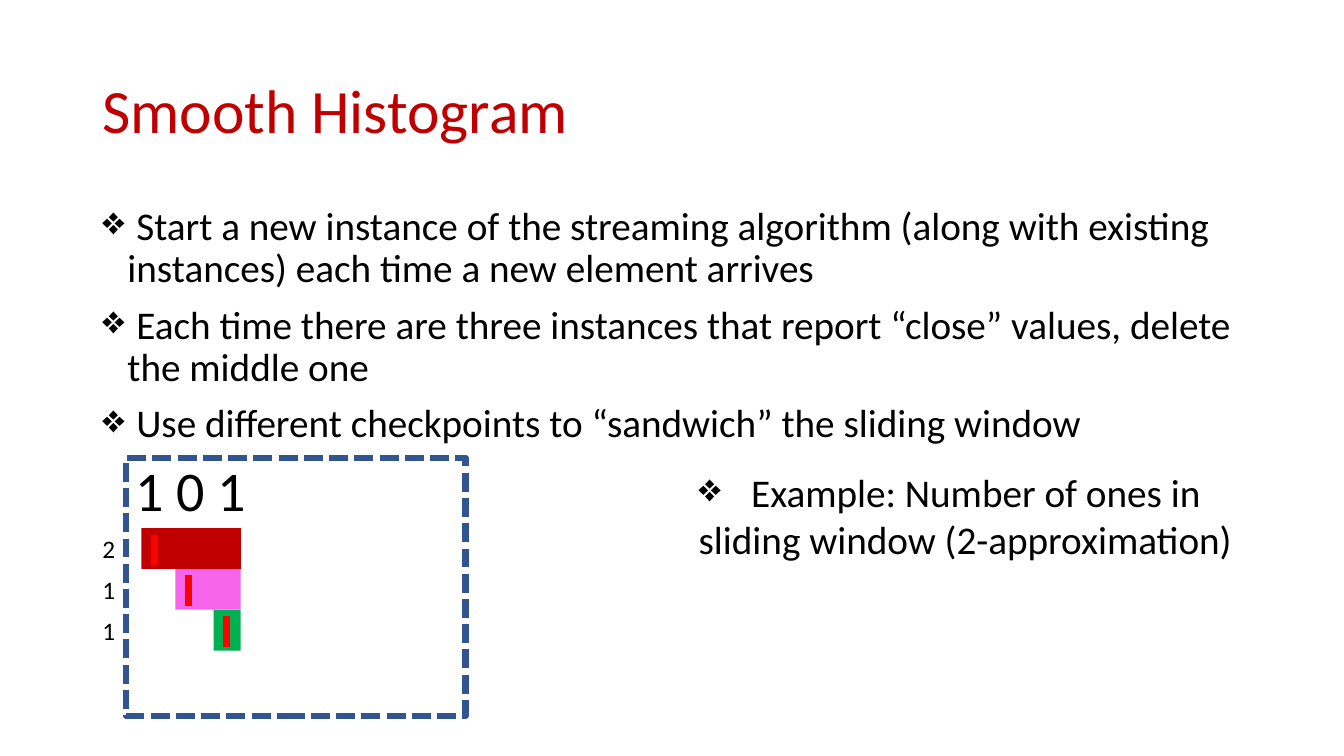
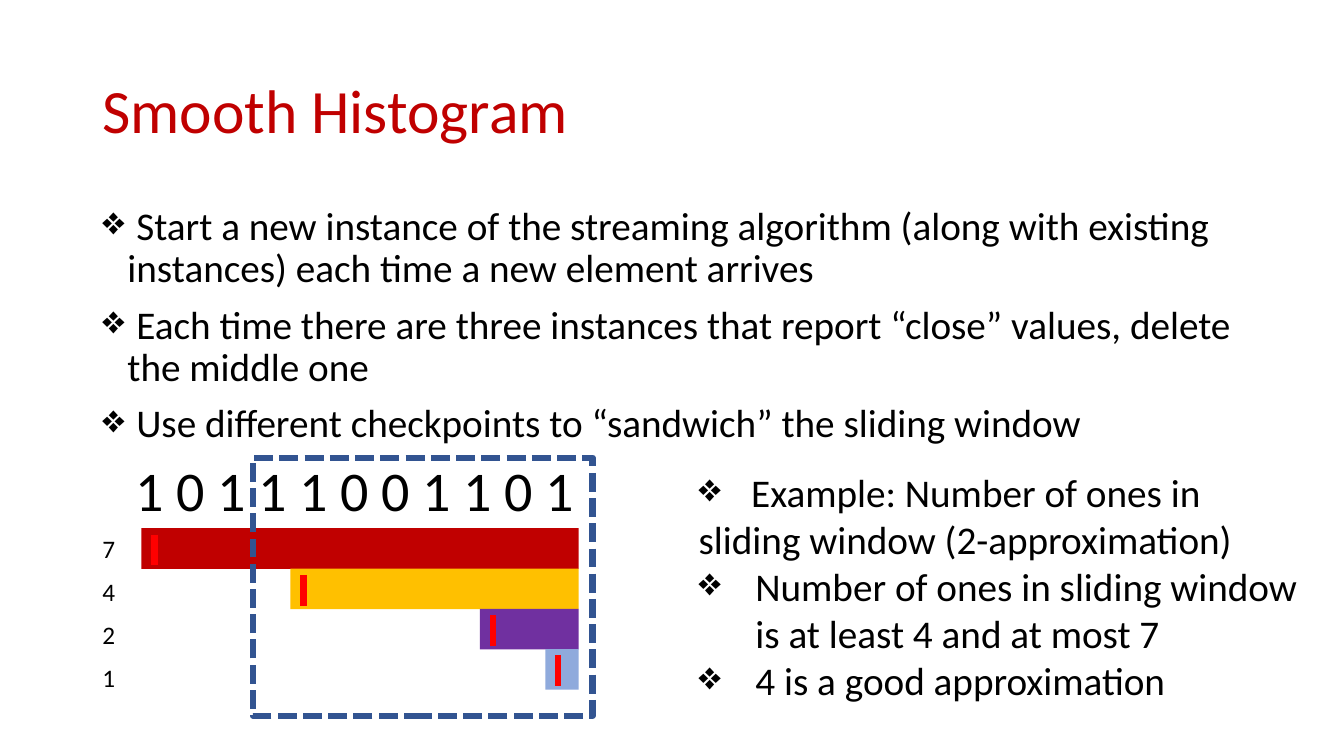
from lxml.etree import SubElement
from pptx import Presentation
from pptx.dml.color import RGBColor
from pptx.enum.dml import MSO_LINE
from pptx.enum.shapes import MSO_CONNECTOR, MSO_SHAPE
from pptx.enum.text import MSO_ANCHOR
from pptx.oxml.ns import qn
from pptx.util import Pt

FONT = "Calibri"
COLORS = {
    "title": "C00000", "text": "000000", "window": "325491", "tick": "FF0000",
    "red": "C00000", "pink": "F664EC", "green": "00B050",
    "amber": "FFC000", "purple": "7030A0", "blue": "8FAADC",
}

TITLE = "Smooth Histogram"
BODY = [
    " Start a new instance of the streaming algorithm (along with existing instances) "
    "each time a new element arrives",
    " Each time there are three instances that report “close” values, delete the middle one",
    " Use different checkpoints to “sandwich” the sliding window",
]
EXAMPLE = "\tExample: Number of ones in sliding window (2-approximation)"

# Each bar is (reported value, left edge, colour); all bars end at "right"
SLIDES = [
    {"stream": "1 0 1", "stream_width": 94.5, "window_left": 90, "right": 172,
     "bar_pitch": 29.2, "label_pitch": 29.2,
     "bars": [("2", 101, "red"), ("1", 125.3, "pink"), ("1", 152.6, "green")],
     "findings": []},
    {"stream": "1 0 1 1 1 0 0 1 1 0 1", "stream_width": 330.5, "window_left": 180.7,
     "right": 413.3, "bar_pitch": 28.8, "label_pitch": 30.7,
     "bars": [("7", 101, "red"), ("4", 207.4, "amber"),
              ("2", 342.7, "purple"), ("1", 389.5, "blue")],
     "findings": ["Number of ones in sliding window is at least 4 and at most 7",
                  "4 is a good approximation"]},
]
BAR_TOP, BAR_HEIGHT = 377.3, 29
TICK_INSET, TICK_MARGIN = 9.3, 4.5


def add_text(s, box, lines, size, color="text", wrap=True):
    sp = s.shapes.add_textbox(*[Pt(v) for v in box])
    tf = sp.text_frame
    tf.word_wrap = wrap
    for i, line in enumerate(lines):
        p = tf.paragraphs[0] if i == 0 else tf.add_paragraph()
        r = p.add_run()
        r.text = line
        r.font.name, r.font.size = FONT, Pt(size)
        r.font.color.rgb = RGBColor.from_string(COLORS[color])
    return tf


def add_bullet(p, hang=0, tab=None):
    pPr = p._p.get_or_add_pPr()
    pPr.set("marL", str(Pt(hang)))
    pPr.set("indent", str(-Pt(hang)))
    SubElement(pPr, qn("a:buChar"), char="❖")
    if tab:
        tabs = SubElement(pPr, qn("a:tabLst"))
        SubElement(tabs, qn("a:tab"), pos=str(Pt(tab)), algn="l")


prs = Presentation()
prs.slide_width, prs.slide_height = Pt(960), Pt(540)

for data in SLIDES:
    s = prs.slides.add_slide(prs.slide_layouts[6])

    # Title and main points
    tf = add_text(s, (66, 28.8, 828, 104.4), [TITLE], 44, "title")
    tf.vertical_anchor = MSO_ANCHOR.MIDDLE
    tf.paragraphs[0].line_spacing = 0.9
    tf = add_text(s, (66, 144, 828, 206), BODY, 28)
    for p in tf.paragraphs:
        p.line_spacing, p.space_before = 0.9, Pt(10)
        add_bullet(p, hang=18)

    # Stream of bits
    add_text(s, (90, 322, data["stream_width"], 55.5), [data["stream"]], 40, wrap=False)

    # One bar, start tick and value per running instance
    for i, (value, left, color) in enumerate(data["bars"]):
        top = BAR_TOP + i * data["bar_pitch"]
        sp = s.shapes.add_shape(MSO_SHAPE.RECTANGLE, Pt(left), Pt(top),
                                Pt(data["right"] - left), Pt(BAR_HEIGHT))
        sp.shadow.inherit = False
        sp.fill.solid()
        sp.fill.fore_color.rgb = RGBColor.from_string(COLORS[color])
        sp.line.fill.background()

        x = Pt(left + TICK_INSET)
        tick = s.shapes.add_connector(MSO_CONNECTOR.STRAIGHT, x, Pt(top + TICK_MARGIN),
                                      x, Pt(top + BAR_HEIGHT - TICK_MARGIN + 2))
        tick.line.width = Pt(4.5)
        tick.line.color.rgb = RGBColor.from_string(COLORS["tick"])
        SubElement(tick._element.spPr, qn("a:effectLst"))

        label_top = BAR_TOP + i * data["label_pitch"]
        add_text(s, (66, label_top, 23.8, BAR_HEIGHT), [value], 18, wrap=False)

    # Example and findings
    tf = add_text(s, (492, 331, 443.5, 75), [EXAMPLE] + data["findings"], 28)
    add_bullet(tf.paragraphs[0], tab=37.5)
    for p in tf.paragraphs[1:]:
        add_bullet(p, hang=40.5)

    # Sliding window
    sp = s.shapes.add_shape(MSO_SHAPE.RECTANGLE, Pt(data["window_left"]), Pt(327),
                            Pt(242.6), Pt(184.3))
    sp.shadow.inherit = False
    sp.fill.background()
    sp.line.width = Pt(4.5)
    sp.line.color.rgb = RGBColor.from_string(COLORS["window"])
    sp.line.dash_style = MSO_LINE.SQUARE_DOT

prs.save("out.pptx")
